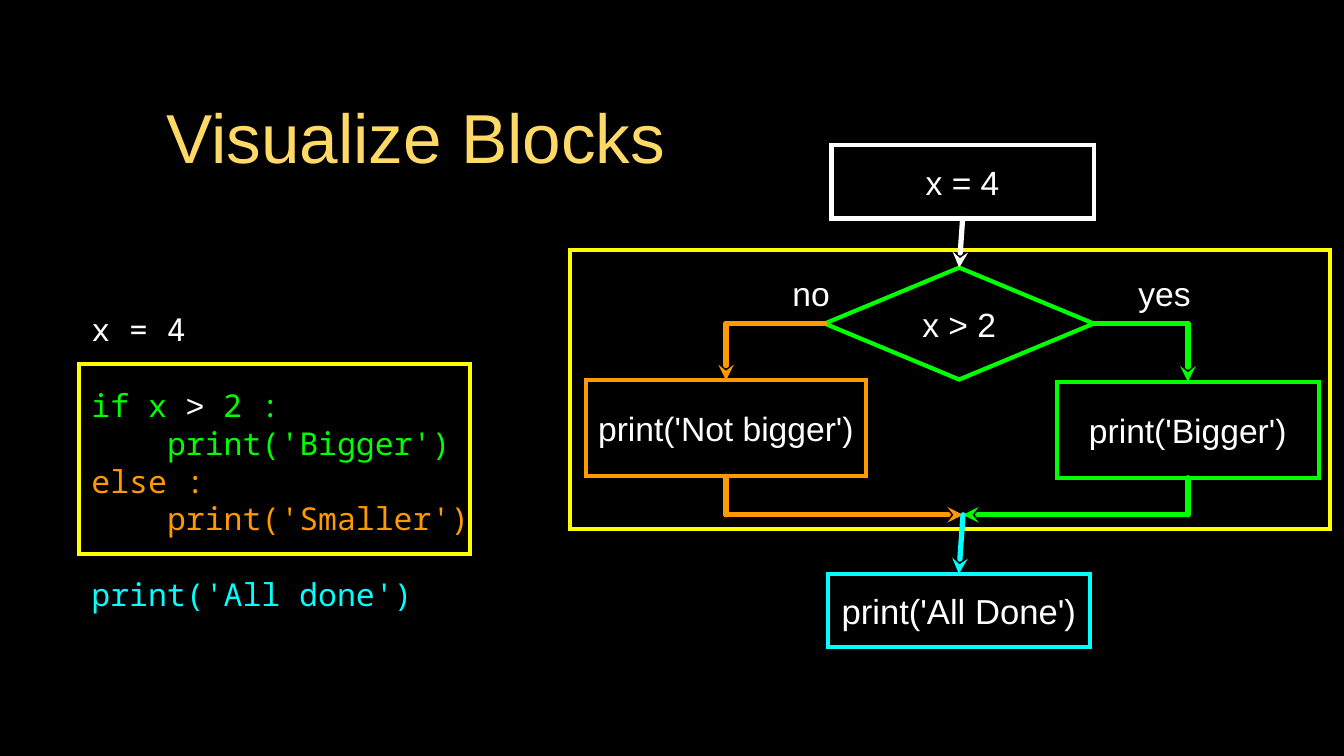
import pptx
import pptx.dml.color
import pptx.enum.shapes
import pptx.enum.text
import pptx.oxml.ns
import pptx.util
from lxml import etree

Inches = pptx.util.Inches
Pt = pptx.util.Pt
RGBColor = pptx.dml.color.RGBColor
Shapes = pptx.enum.shapes.MSO_SHAPE
Align = pptx.enum.text.PP_ALIGN

BLACK = RGBColor(0x00, 0x00, 0x00)
WHITE = RGBColor(0xFF, 0xFF, 0xFF)
GOLD = RGBColor(0xFF, 0xD9, 0x66)
YELLOW = RGBColor(0xFF, 0xFF, 0x00)
GREEN = RGBColor(0x00, 0xFF, 0x00)
ORANGE = RGBColor(0xFF, 0x99, 0x00)
CYAN = RGBColor(0x00, 0xFF, 0xFF)

SANS = "Arial"
MONO = "Noto Sans Mono"
TOP, LEFT, BOTTOM, RIGHT = range(4)

CODE_SIZE = 30
CODE_LINE = 36
INDENT = Inches(1)
# Each line: indented, follows a gap, then its runs of text, font and colour
CODE_LINES = [
    (False, False, [("x = 4", MONO, WHITE)]),
    (False, True, [("if x ", MONO, GREEN), (">", SANS, WHITE), (" 2 :", MONO, GREEN)]),
    (True, False, [("print('Bigger')", MONO, GREEN)]),
    (False, False, [("else :", MONO, ORANGE)]),
    (True, False, [("print('Smaller')", MONO, ORANGE)]),
    (False, True, [("print('All done')", MONO, CYAN)]),
]


def add_drawing_element(parent, tag, **attributes):
    return etree.SubElement(parent, pptx.oxml.ns.qn(tag), **attributes)


def prepare_frame(shape, wrap=True):
    frame = shape.text_frame
    frame.word_wrap = wrap
    frame.vertical_anchor = pptx.enum.text.MSO_ANCHOR.MIDDLE
    frame.margin_left = frame.margin_right = 0
    frame.margin_top = frame.margin_bottom = 0
    return frame


def format_run(run, size, font, color):
    run.font.size = Pt(size)
    run.font.name = font
    run.font.color.rgb = color


def write_centered(shape, text, size, color=WHITE):
    frame = prepare_frame(shape, wrap=False)
    frame.text = text
    paragraph = frame.paragraphs[0]
    paragraph.alignment = Align.CENTER
    format_run(paragraph.runs[0], size, SANS, color)


def add_label(slide, box, text, size=32, color=WHITE):
    write_centered(slide.shapes.add_textbox(*map(Inches, box)), text, size, color)


def add_outline(slide, box, color, text="", size=32, kind=Shapes.RECTANGLE):
    shape = slide.shapes.add_shape(kind, *map(Inches, box))
    shape.shadow.inherit = False
    shape.fill.background()
    shape.line.color.rgb = color
    shape.line.width = Pt(4)
    add_drawing_element(shape.line._get_or_add_ln(), "a:miter", lim="800000")
    if text:
        write_centered(shape, text, size)
    return shape


def site_point(shape, site):
    """Return the middle of one side of a shape."""
    x = shape.left + shape.width * {LEFT: 0, RIGHT: 2}.get(site, 1) // 2
    y = shape.top + shape.height * {TOP: 0, BOTTOM: 2}.get(site, 1) // 2
    return x, y


def add_flow(slide, points, color, start=None, end=None):
    """Draw straight segments through points, arrow last; start and end are (shape, site)."""
    last = len(points) - 2
    for index, (first, second) in enumerate(zip(points, points[1:])):
        connector = slide.shapes.add_connector(
            pptx.enum.shapes.MSO_CONNECTOR.STRAIGHT, *first, *second)
        if start and index == 0:
            connector.begin_connect(*start)
        if end and index == last:
            connector.end_connect(*end)
        connector.line.color.rgb = color
        connector.line.width = Pt(5)
        line = connector.line._get_or_add_ln()
        line.set("cap", "rnd")
        add_drawing_element(line, "a:round")
        if index == last:
            add_drawing_element(line, "a:tailEnd", type="stealth")
        add_drawing_element(connector._element.spPr, "a:effectLst")


def add_code(slide, box):
    frame = prepare_frame(slide.shapes.add_textbox(*map(Inches, box)))
    for index, (indented, gap, runs) in enumerate(CODE_LINES):
        paragraph = frame.add_paragraph() if index else frame.paragraphs[0]
        paragraph.alignment = Align.LEFT
        paragraph.line_spacing = Pt(CODE_LINE)
        paragraph.space_before = Pt(CODE_LINE if gap else 0)
        if indented:
            properties = paragraph._p.get_or_add_pPr()
            properties.set("marL", str(INDENT))
            properties.set("indent", "0")
        for text, font, color in runs:
            run = paragraph.add_run()
            run.text = text
            format_run(run, CODE_SIZE, font, color)


def add_code_panel(slide, box):
    left, top, width, height = box
    add_outline(slide, (left - 0.16, top + 0.94, 5.17, 2.51), YELLOW)
    add_code(slide, (left, top + 0.03, width, height))


def add_flowchart(slide, box):
    left, top, width, height = box
    add_outline(slide, (left, top + 1.39, width, 3.69), YELLOW)
    start = add_outline(slide, (left + 3.46, top, 3.47, 0.97), WHITE, "x = 4")
    test = add_outline(slide, (left + 3.37, top + 1.62, 3.56, 1.48), GREEN,
                       "x > 2", kind=Shapes.DIAMOND)
    smaller = add_outline(slide, (left + 0.21, top + 3.11, 3.71, 1.27), ORANGE,
                          "print('Not bigger')")
    bigger = add_outline(slide, (left + 6.44, top + 3.13, 3.47, 1.27), GREEN,
                         "print('Bigger')")
    done = add_outline(slide, (left + 3.41, top + height - 0.97, 3.47, 0.97), CYAN,
                       "print('All Done')", 33)
    add_label(slide, (left + 2.92, top + 1.68, 0.54, 0.56), "no")
    add_label(slide, (left + 7.42, top + 1.68, 0.89, 0.56), "yes")

    add_flow(slide, [site_point(start, BOTTOM), site_point(test, TOP)], WHITE,
             (start, BOTTOM), (test, TOP))
    merge = Inches(left + 5.2), Inches(top + 4.89)
    for branch, side, color in ((smaller, LEFT, ORANGE), (bigger, RIGHT, GREEN)):
        exit_point = site_point(test, side)
        entry = site_point(branch, TOP)
        bottom = site_point(branch, BOTTOM)
        add_flow(slide, [exit_point, (entry[0], exit_point[1]), entry], color,
                 (test, side), (branch, TOP))
        add_flow(slide, [bottom, (bottom[0], merge[1]), merge], color, (branch, BOTTOM))
    add_flow(slide, [merge, site_point(done, TOP)], CYAN, end=(done, TOP))


def main():
    presentation = pptx.Presentation()
    presentation.slide_width = Inches(17.78)
    presentation.slide_height = Inches(10)
    slide = presentation.slides.add_slide(presentation.slide_layouts[6])
    slide.background.fill.solid()
    slide.background.fill.fore_color.rgb = BLACK
    add_label(slide, (1.26, 0.82, 8.48, 1.96), "Visualize Blocks", 66, GOLD)
    add_code_panel(slide, (1.21, 3.88, 5.26, 4.39))
    add_flowchart(slide, (7.54, 1.92, 10.05, 6.64))
    presentation.save("out.pptx")


if __name__ == "__main__":
    main()
